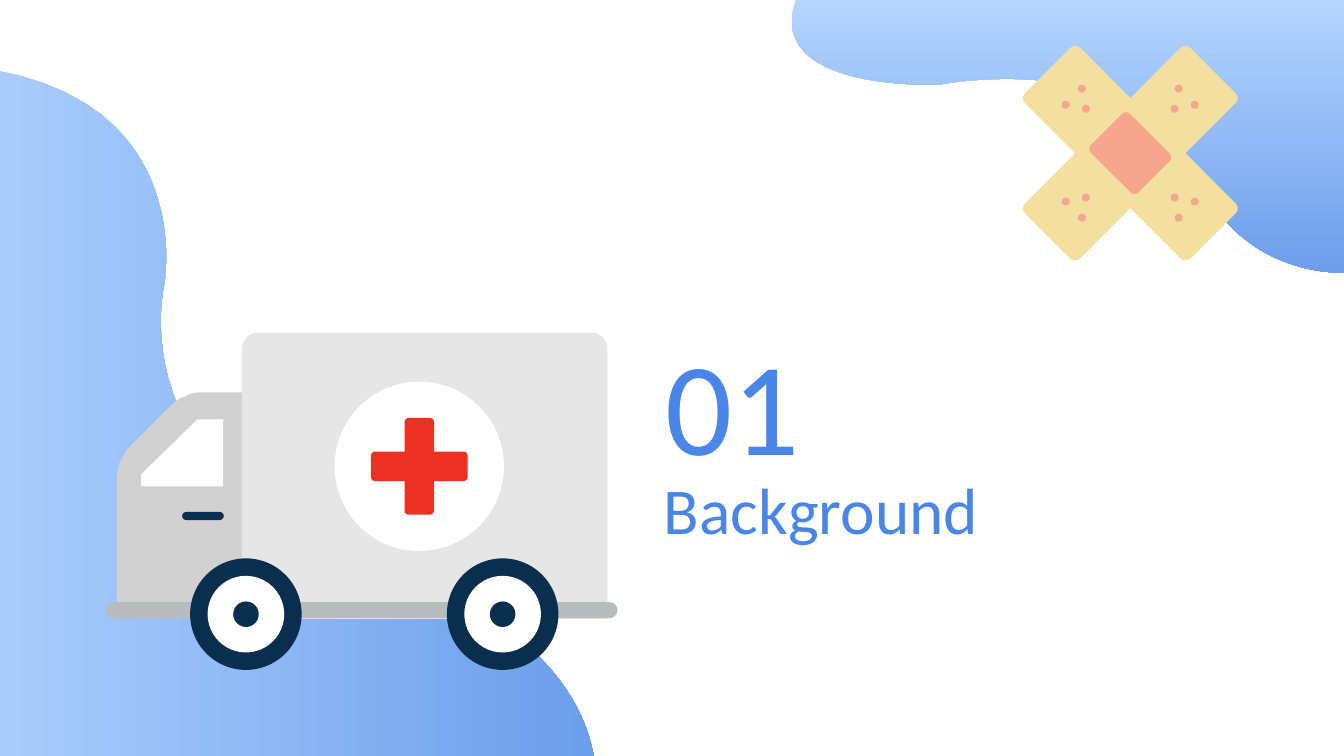
"""Build a section slide with an ambulance, a crossed plaster and two gradient blobs."""
from dataclasses import dataclass

from pptx import Presentation
from pptx.dml.color import RGBColor
from pptx.enum.shapes import MSO_SHAPE
from pptx.enum.text import MSO_ANCHOR, MSO_AUTO_SIZE, PP_ALIGN
from pptx.util import Inches, Pt

BLUE, NAVY, WHITE = "4A86E8", "0A2E4E", "FFFFFF"
SKIN, PINK = "F3E0A0", "F7A68E"
CAB_GREY, BOX_GREY, BUMPER_GREY, RED = "D1D1D1", "E6E6E6", "B9BCBD", "ED3024"
LIGHT_BLUE, DEEP_BLUE = "B5D5FF", "6D9EEB"


@dataclass(frozen=True)
class Outline:
    """A start point, then lines (2 numbers) and cubic curves (6 numbers)."""

    start: tuple
    segments: tuple

    def points(self, steps: int = 24) -> list:
        pts = [self.start]
        for seg in self.segments:
            if len(seg) == 2:
                pts.append(seg)
                continue
            (x0, y0), (x1, y1, x2, y2, x3, y3) = pts[-1], seg
            for i in range(1, steps + 1):
                t = i / steps
                a, b, c, d = (1 - t) ** 3, 3 * t * (1 - t) ** 2, 3 * t * t * (1 - t), t ** 3
                pts.append((a * x0 + b * x1 + c * x2 + d * x3,
                            a * y0 + b * y1 + c * y2 + d * y3))
        return pts


@dataclass(frozen=True)
class Bar:
    """A rounded bar given by its centre, size, corner radius and turn."""

    cx: float
    cy: float
    width: float
    height: float
    radius: float
    color: str
    rotation: float = 0


LEFT_BLOB = Outline((4.42, 5.64), (
    (4.36, 5.28, 4.08, 4.62, 2.76, 4.18), (0.88, 3.56, 1.22, 2.13, 1.22, 2.13),
    (1.22, 2.13, 1.56, 0.36, -0.86, 0.48), (-0.86, 5.63)))
TOP_BLOB = Outline((10, 2.03), (
    (9.69, 2.03, 9.17, 1.91, 8.88, 1.28), (8.46, 0.34, 6.99, 0.63, 6.99, 0.63),
    (6.99, 0.63, 5.68, 0.69, 5.92, 0), (10, 0)))
CAB = Outline((1.49, 2.92), (
    (1.45, 2.92, 1.41, 2.93, 1.38, 2.95), (1.34, 2.96, 1.31, 2.98, 1.28, 3.01),
    (0.95, 3.34), (0.93, 3.37, 0.91, 3.41, 0.89, 3.44),
    (0.88, 3.48, 0.87, 3.51, 0.87, 3.55), (0.87, 4.57), (1.06, 4.6), (1.8, 4.6), (1.8, 2.92)))
WINDOW = Outline((1.05, 3.62), ((1.66, 3.62), (1.66, 3.12), (1.47, 3.12), (1.05, 3.53)))


def rgb(color: str) -> RGBColor:
    return RGBColor.from_string(color)


def paint(sp, color: str) -> None:
    sp.shadow.inherit = False
    sp.line.fill.background()
    sp.fill.solid()
    sp.fill.fore_color.rgb = rgb(color)


def add_outline(shapes, outline: Outline, color: str):
    pts = [(Inches(x), Inches(y)) for x, y in outline.points()]
    builder = shapes.build_freeform(*pts[0])
    builder.add_line_segments(pts[1:], close=True)
    sp = builder.convert_to_shape()
    paint(sp, color)
    return sp


def add_blob(shapes, outline: Outline, angle: float) -> None:
    sp = add_outline(shapes, outline, LIGHT_BLUE)
    sp.fill.gradient()
    sp.fill.gradient_angle = angle
    for stop, color in zip(sp.fill.gradient_stops, (LIGHT_BLUE, DEEP_BLUE)):
        stop.color.rgb = rgb(color)


def add_preset(shapes, kind, cx: float, cy: float, width: float, height: float, color: str):
    sp = shapes.add_shape(kind, Inches(cx - width / 2), Inches(cy - height / 2),
                          Inches(width), Inches(height))
    paint(sp, color)
    return sp


def add_bar(shapes, bar: Bar) -> None:
    sp = add_preset(shapes, MSO_SHAPE.ROUNDED_RECTANGLE, bar.cx, bar.cy,
                    bar.width, bar.height, bar.color)
    sp.adjustments[0] = bar.radius / min(bar.width, bar.height)
    sp.rotation = bar.rotation


def add_disc(shapes, cx: float, cy: float, diameter: float, color: str) -> None:
    add_preset(shapes, MSO_SHAPE.OVAL, cx, cy, diameter, diameter, color)


def add_plaster(shapes, cx: float, cy: float) -> None:
    for side in (-1, 1):
        add_bar(shapes, Bar(cx, cy, 1.74, 0.58, 0.05, SKIN, 45 * side))
        add_bar(shapes, Bar(cx, cy, 0.5, 0.41, 0.04, PINK, 45 * side))
        for end in (1, -1):
            for dx, dy in ((0.36, 0.48), (0.48, 0.36), (0.33, 0.33)):
                add_disc(shapes, cx + end * dx, cy + end * side * dy, 0.06, PINK)


def add_ambulance(shapes) -> None:
    add_outline(shapes, CAB, CAB_GREY)
    box = add_preset(shapes, MSO_SHAPE.ROUND_2_SAME_RECTANGLE, 3.16, 3.54, 2.72, 2.13, BOX_GREY)
    box.adjustments[0] = 0.12 / 2.13
    add_bar(shapes, Bar(1.51, 3.84, 0.31, 0.06, 0.03, NAVY))
    add_disc(shapes, 3.12, 3.47, 1.26, WHITE)
    for width, height in ((0.72, 0.22), (0.22, 0.72)):
        add_bar(shapes, Bar(3.12, 3.47, width, height, 0.03, RED))
    add_bar(shapes, Bar(2.69, 4.54, 3.81, 0.12, 0.06, BUMPER_GREY))
    for cx in (1.83, 3.74):
        for diameter, color in ((0.83, NAVY), (0.57, WHITE), (0.19, NAVY)):
            add_disc(shapes, cx, 4.57, diameter, color)
    add_outline(shapes, WINDOW, WHITE)


def set_text(sp, text: str, left: float, top: float, height: float, size: float) -> None:
    sp.left, sp.top, sp.width, sp.height = map(Inches, (left, top, 4.37, height))
    tf = sp.text_frame
    tf.text = text
    tf.word_wrap = True
    tf.auto_size = MSO_AUTO_SIZE.NONE
    tf.vertical_anchor = MSO_ANCHOR.TOP
    tf.margin_left = tf.margin_right = tf.margin_top = tf.margin_bottom = Inches(0.1)
    p = tf.paragraphs[0]
    p.alignment = PP_ALIGN.LEFT
    font = p.runs[0].font
    font.name, font.size, font.color.rgb = "Calibri", Pt(size), rgb(BLUE)


def main() -> None:
    prs = Presentation()
    prs.slide_width, prs.slide_height = Inches(10), Inches(10 * 9 / 16)
    s = prs.slides.add_slide(prs.slide_layouts[5])
    add_blob(s.shapes, LEFT_BLOB, 0)
    add_blob(s.shapes, TOP_BLOB, 270)
    set_text(s.shapes.title, "Background", 4.84, 3.39, 0.67, 35)
    set_text(s.shapes.add_textbox(0, 0, 0, 0), "01", 4.85, 2.3, 1.05, 71)
    add_plaster(s.shapes.add_group_shape().shapes, 8.41, 1.14)
    add_ambulance(s.shapes.add_group_shape().shapes)
    prs.save("out.pptx")


if __name__ == "__main__":
    main()
